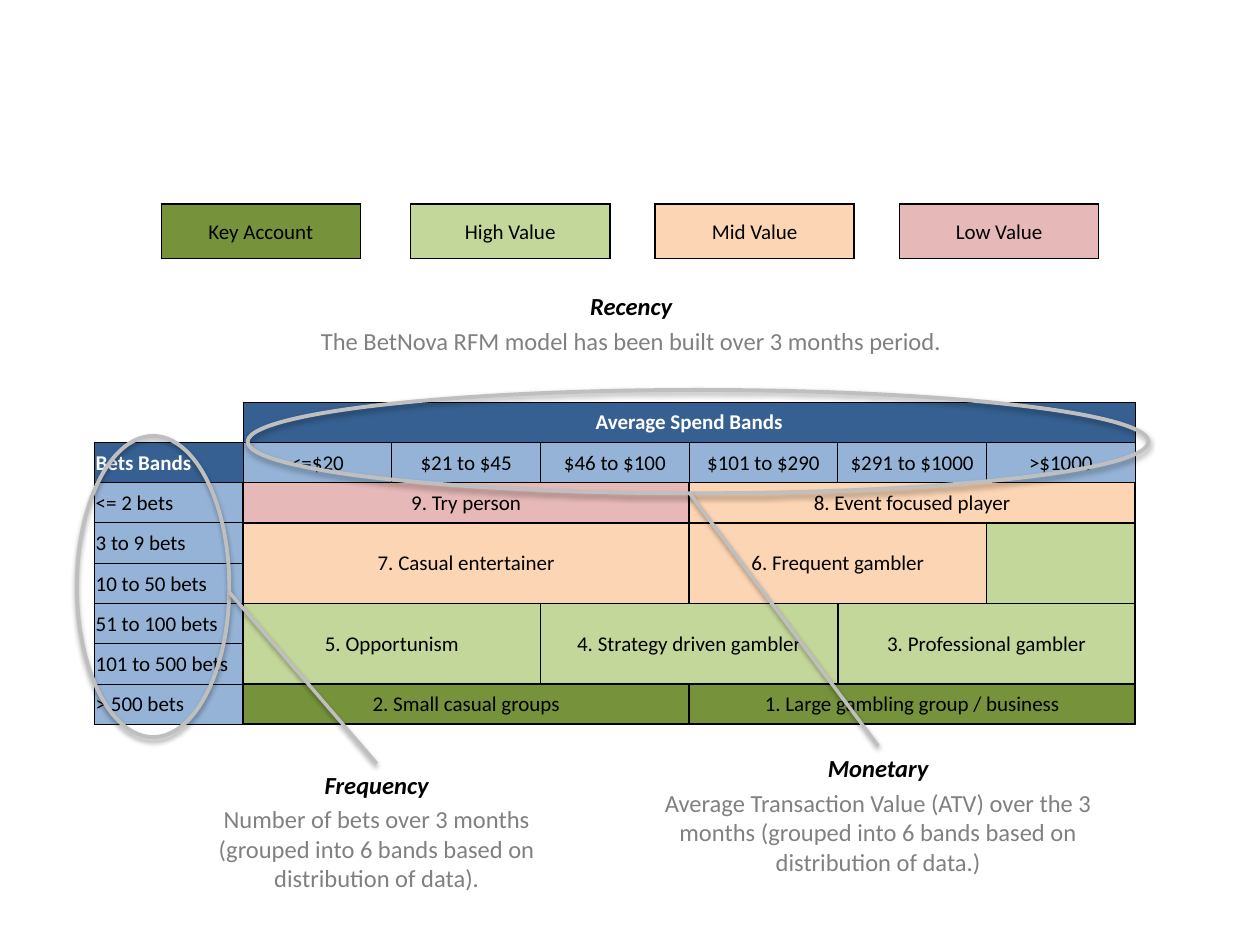
"""Builds a slide that explains an RFM segmentation of betting customers."""
from lxml import etree
from pptx import Presentation
from pptx.dml.color import RGBColor
from pptx.enum.shapes import MSO_CONNECTOR, MSO_SHAPE
from pptx.enum.text import MSO_ANCHOR, MSO_AUTO_SIZE, PP_ALIGN
from pptx.oxml.ns import qn
from pptx.util import Inches, Pt

STRAIGHT, OVAL = MSO_CONNECTOR.STRAIGHT, MSO_SHAPE.OVAL
TOP, MIDDLE = MSO_ANCHOR.TOP, MSO_ANCHOR.MIDDLE
LEFT, CENTER = PP_ALIGN.LEFT, PP_ALIGN.CENTER
GROW = MSO_AUTO_SIZE.SHAPE_TO_FIT_TEXT

BLACK = RGBColor(0x00, 0x00, 0x00)
WHITE = RGBColor(0xFF, 0xFF, 0xFF)
GREY = RGBColor(0x80, 0x80, 0x80)
SILVER = RGBColor(0xBF, 0xBF, 0xBF)
NAVY = RGBColor(0x36, 0x60, 0x92)
BLUE = RGBColor(0x95, 0xB3, 0xD7)
KEY = RGBColor(0x76, 0x93, 0x3C)
HIGH = RGBColor(0xC4, 0xD7, 0x9B)
MID = RGBColor(0xFC, 0xD5, 0xB4)
LOW = RGBColor(0xE6, 0xB8, 0xB7)

SLIDE_W, SLIDE_H = 10, 7.5
COLUMN, ROW = 1.18, 0.32
LEGEND_COLUMNS = (1.58, 0.4, 1.58, 0.36, 1.58, 0.36, 1.58)
LEGEND_ROWS = (0.21, 0.22)
SIDES = "LRTB"
CELL_FORMAT = {
    "vertical_anchor": MIDDLE,
    "margin_left": Inches(0.01),
    "margin_right": Inches(0.01),
    "margin_top": Inches(0.01),
    "margin_bottom": 0,
}
BODY_FONT = {"name": "Calibri", "size": Pt(12), "bold": False}
HEADER_FONT = {**BODY_FONT, "bold": True}
TITLE_FONT = {"name": "Calibri", "size": Pt(14), "bold": True, "italic": True}
NOTE_FONT = {**TITLE_FONT, "bold": False, "italic": False}

LEGEND = (("Key Account", KEY), ("High Value", HIGH), ("Mid Value", MID), ("Low Value", LOW))
SPEND_BANDS = ("<=$20", "$21 to $45", "$46 to $100", "$101 to $290", "$291 to $1000", ">$1000")
BETS_BANDS = ("<= 2 bets", "3 to 9 bets", "10 to 50 bets", "51 to 100 bets",
              "101 to 500 bets", "> 500 bets")
SEGMENTS = (
    (2, 1, 1, 3, "9. Try person", LOW),
    (2, 4, 1, 3, "8. Event focused player", MID),
    (3, 1, 2, 3, "7. Casual entertainer", MID),
    (3, 4, 2, 2, "6. Frequent gambler", MID),
    (3, 6, 2, 1, "", HIGH),
    (5, 1, 2, 2, "5. Opportunism", HIGH),
    (5, 3, 2, 2, "4. Strategy driven gambler", HIGH),
    (5, 5, 2, 2, "3. Professional gambler", HIGH),
    (7, 1, 1, 3, "2. Small casual groups", KEY),
    (7, 4, 1, 3, "1. Large gambling group / business", KEY),
)
NOTES = (
    ((1.1, 2.26, 7.82, 0.61), TOP, "Recency",
     "The BetNova RFM model has been built over 3 months period."),
    ((5.17, 5.92, 3.6, 1.09), MIDDLE, "Monetary",
     "Average Transaction Value (ATV) over the 3 months "
     "(grouped into 6 bands based on distribution of data.)"),
    ((1.45, 6.06, 3.08, 1.09), TOP, "Frequency",
     "Number of bets over 3 months (grouped into 6 bands based on distribution of data)."),
)
RINGS = (((0.61, 3.46, 1.21, 2.39), 0), ((5.13, -0.07, 0.82, 7.15), 90))
POINTERS = ((5.47, 3.91, 6.97, 5.92), (1.82, 4.7, 2.99, 6.06))


def apply(target, values):
    """Set every attribute named in values."""
    for attribute, value in values.items():
        setattr(target, attribute, value)


def write(paragraph, text, font, color, align=CENTER):
    """Put one formatted run in a paragraph."""
    paragraph.alignment = align
    run = paragraph.add_run()
    run.text = text
    apply(run.font, font)
    run.font.color.rgb = color


def set_borders(cell, width, sides):
    """Draw the named sides of a cell and clear the others."""
    properties = cell._tc.get_or_add_tcPr()
    for side in SIDES:
        border = etree.SubElement(properties, qn("a:ln" + side), w=str(Pt(width)))
        if side in sides:
            solid = etree.SubElement(border, qn("a:solidFill"))
            etree.SubElement(solid, qn("a:srgbClr"), val=str(BLACK))
        else:
            etree.SubElement(border, qn("a:noFill"))


def format_cell(cell, fill, width, sides):
    """Set the margins, borders, fill and empty line height of a cell."""
    apply(cell, CELL_FORMAT)
    set_borders(cell, width, sides)
    if fill is None:
        cell.fill.background()
    else:
        cell.fill.solid()
        cell.fill.fore_color.rgb = fill
    etree.SubElement(cell.text_frame.paragraphs[0]._p, qn("a:endParaRPr"), sz="1200")


def fill_block(table, block, font=BODY_FONT, color=BLACK, align=CENTER, width=1, sides=SIDES):
    """Format a block of cells, merge it and write its text."""
    row, column, height, breadth, text, fill = block
    for r in range(row, row + height):
        for c in range(column, column + breadth):
            format_cell(table.cell(r, c), fill, width, sides)
    origin = table.cell(row, column)
    if height * breadth > 1:
        origin.merge(table.cell(row + height - 1, column + breadth - 1))
    if text:
        write(origin.text_frame.paragraphs[0], text, font, color, align)


def add_grid(slide, left, top, columns, rows):
    """Add a plain table with the given column widths and row heights."""
    box = map(Inches, (left, top, sum(columns), sum(rows)))
    table = slide.shapes.add_table(len(rows), len(columns), *box).table
    apply(table, {"first_row": False, "horz_banding": False})
    for column, width in zip(table.columns, columns):
        column.width = Inches(width)
    for row, height in zip(table.rows, rows):
        row.height = Inches(height)
    return table


def add_segments(slide):
    """Add the table of customer segments by spend and bets."""
    table = add_grid(slide, 0.75, 3.19, [COLUMN] * 7, [ROW] * 8)
    fill_block(table, (0, 0, 1, 1, "", None), width=0.5, sides="RB")
    fill_block(table, (0, 1, 1, 6, "Average Spend Bands", NAVY), HEADER_FONT, WHITE, width=0.5)
    fill_block(table, (1, 0, 1, 1, "Bets Bands", NAVY), HEADER_FONT, WHITE, LEFT, 0.5)
    for column, band in enumerate(SPEND_BANDS, 1):
        fill_block(table, (1, column, 1, 1, band, BLUE), width=0.5)
    for row, band in enumerate(BETS_BANDS, 2):
        fill_block(table, (row, 0, 1, 1, band, BLUE), align=LEFT, width=0.5)
    for segment in SEGMENTS:
        fill_block(table, segment)


def add_legend(slide):
    """Add the row of value classes, with open gaps between them."""
    table = add_grid(slide, 1.28, 1.62, LEGEND_COLUMNS, LEGEND_ROWS)
    for index, (label, fill) in enumerate(LEGEND):
        fill_block(table, (0, 2 * index, 2, 1, label, fill))
    for gap in range(1, len(LEGEND_COLUMNS), 2):
        for row in range(len(LEGEND_ROWS)):
            fill_block(table, (row, gap, 1, 1, "", None), sides="LR")


def add_note(slide, box, anchor, title, detail):
    """Add a bold title with a grey explanation below it."""
    frame = slide.shapes.add_textbox(*map(Inches, box)).text_frame
    apply(frame, {"word_wrap": True, "auto_size": GROW, "vertical_anchor": anchor})
    heading = frame.paragraphs[0]
    heading.space_after = Pt(3)
    write(heading, title, TITLE_FONT, BLACK)
    write(frame.add_paragraph(), detail, NOTE_FONT, GREY)


def style_outline(outline, width, distance, opacity):
    """Give a ring or pointer its silver line and soft shadow."""
    outline.line.color.rgb = SILVER
    outline.line.width = Pt(width)
    effects = etree.SubElement(outline._element.spPr, qn("a:effectLst"))
    shadow = etree.SubElement(effects, qn("a:outerShdw"), blurRad=str(Pt(3.1)),
                              dist=str(Pt(distance)), dir="5400000", rotWithShape="0")
    color = etree.SubElement(shadow, qn("a:srgbClr"), val=str(BLACK))
    etree.SubElement(color, qn("a:alpha"), val=str(opacity * 1000))


def add_ring(slide, box, rotation):
    """Add an open ellipse round a set of bands."""
    ring = slide.shapes.add_shape(OVAL, *map(Inches, box))
    ring.rotation = rotation
    ring.fill.background()
    style_outline(ring, 2.25, 1.8, 35)


def add_pointer(slide, ends):
    """Add a line from a ring to its note."""
    style_outline(slide.shapes.add_connector(STRAIGHT, *map(Inches, ends)), 2, 1.6, 38)


def main():
    """Build and save the slide."""
    deck = Presentation()
    apply(deck, {"slide_width": Inches(SLIDE_W), "slide_height": Inches(SLIDE_H)})
    slide = deck.slides.add_slide(deck.slide_layouts[6])
    add_segments(slide)
    for note in NOTES:
        add_note(slide, *note)
    for ring in RINGS:
        add_ring(slide, *ring)
    for pointer in POINTERS:
        add_pointer(slide, pointer)
    add_legend(slide)
    deck.save("out.pptx")


main()
